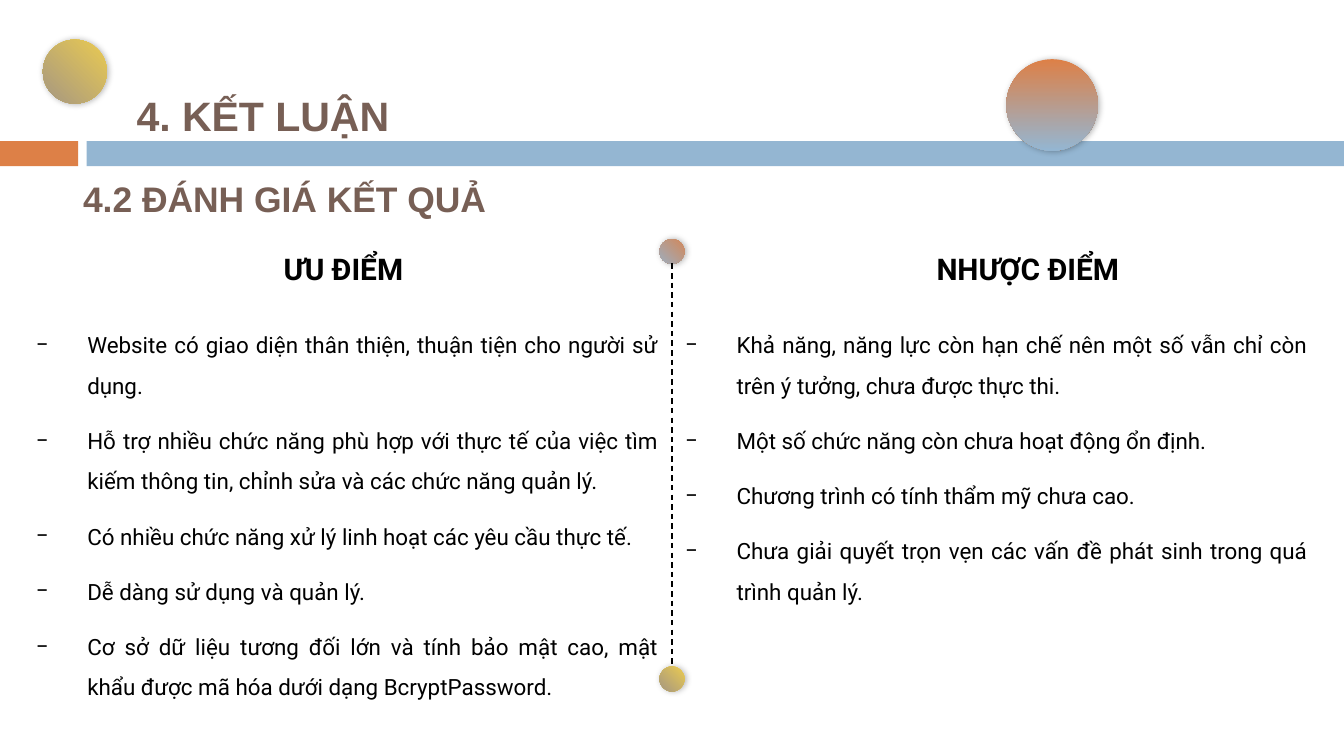
from lxml import etree
from pptx import Presentation
from pptx.dml.color import RGBColor
from pptx.enum.dml import MSO_LINE_DASH_STYLE as Dash
from pptx.enum.shapes import MSO_CONNECTOR as Connector, MSO_SHAPE as Shape
from pptx.enum.text import MSO_ANCHOR as Anchor, MSO_AUTO_SIZE as AutoSize, PP_ALIGN as Align
from pptx.oxml.ns import qn
from pptx.util import Cm, Pt

BLACK = RGBColor(0x00, 0x00, 0x00)
BROWN = RGBColor(0x77, 0x5F, 0x55)
ORANGE = RGBColor(0xDD, 0x80, 0x47)
BLUE = RGBColor(0x94, 0xB6, 0xD2)
YELLOW = RGBColor(0xFA, 0xD6, 0x47)
GRAY = RGBColor(0x96, 0x8C, 0x8C)


class SlideBuilder:
    heading_font = "Arial"
    body_font = "Roboto"
    indent = Cm(0.97)

    def __init__(self, slide):
        self.s = slide

    def add_shadow(self, effects, blur, dist, angle, alpha):
        shadow = etree.SubElement(effects, qn("a:outerShdw"), blurRad=str(Pt(blur)),
                                  dist=str(Pt(dist)), dir=str(angle * 60000),
                                  algn="tl", rotWithShape="0")
        color = etree.SubElement(shadow, qn("a:srgbClr"), val=str(BLACK))
        etree.SubElement(color, qn("a:alpha"), val=str(alpha * 1000))

    def bar(self, x, y, w, h, color):
        sp = self.s.shapes.add_shape(Shape.RECTANGLE, Cm(x), Cm(y), Cm(w), Cm(h))
        sp.shadow.inherit = False
        sp.fill.solid()
        sp.fill.fore_color.rgb = color
        sp.line.fill.background()

    def ball(self, x, y, size, start, end, rotation=45):
        sp = self.s.shapes.add_shape(Shape.OVAL, Cm(x), Cm(y), Cm(size), Cm(size))
        sp.rotation = rotation
        sp.fill.gradient()
        sp.fill.gradient_angle = 270
        for stop, color, position in zip(sp.fill.gradient_stops, (start, end), (0, 1)):
            stop.color.rgb = color
            stop.position = position
        sp.line.fill.background()
        sp.shadow.inherit = False
        effects = sp._element.spPr.find(qn("a:effectLst"))
        self.add_shadow(effects, 3.4, 0.8, 9, 30)

    def dashed_line(self, x, top, bottom):
        line = self.s.shapes.add_connector(Connector.STRAIGHT, Cm(x), Cm(top), Cm(x), Cm(bottom))
        line.line.color.rgb = BLACK
        line.line.width = Pt(0.75)
        line.line.dash_style = Dash.DASH
        etree.SubElement(line._element.spPr, qn("a:effectLst"))

    def text_box(self, x, y, w, h):
        tf = self.s.shapes.add_textbox(Cm(x), Cm(y), Cm(w), Cm(h)).text_frame
        tf.word_wrap = True
        return tf

    def format_run(self, p, name, size, color, bold=False):
        r = p.runs[0]
        r.font.name, r.font.size, r.font.bold = name, Pt(size), bold
        r.font.color.rgb = color
        return r

    def heading(self, x, y, w, h, text, size):
        tf = self.text_box(x, y, w, h)
        tf.vertical_anchor = Anchor.MIDDLE
        tf.margin_top = tf.margin_bottom = Cm(0.25)
        tf.text = text
        p = tf.paragraphs[0]
        p.alignment = Align.CENTER
        r = self.format_run(p, self.heading_font, size, BROWN, True)
        effects = etree.Element(qn("a:effectLst"))
        r.font._element.find(qn("a:solidFill")).addnext(effects)
        self.add_shadow(effects, 4, 3, 45, 40)

    def column_title(self, x, y, w, h, text):
        tf = self.text_box(x, y, w, h)
        tf.auto_size = AutoSize.SHAPE_TO_FIT_TEXT
        tf.text = text
        self.format_run(tf.paragraphs[0], self.body_font, 16, BLACK, True)

    def bullets(self, x, y, w, h, items):
        tf = self.text_box(x, y, w, h)
        tf.auto_size = AutoSize.SHAPE_TO_FIT_TEXT
        tf.text = "\n".join(items)
        for p in tf.paragraphs:
            p.alignment = Align.JUSTIFY
            p.line_spacing = 1.5
            p.space_after = Pt(8)
            pPr = p._p.get_or_add_pPr()
            pPr.set("marL", str(self.indent))
            pPr.set("indent", str(-self.indent))
            color = etree.SubElement(pPr, qn("a:buClr"))
            etree.SubElement(color, qn("a:srgbClr"), val=str(BLACK))
            etree.SubElement(pPr, qn("a:buFont"), typeface=self.body_font)
            etree.SubElement(pPr, qn("a:buChar"), char="−")
            self.format_run(p, self.body_font, 12, BLACK)


def main():
    prs = Presentation()
    prs.slide_width, prs.slide_height = Cm(25.4), Cm(14.29)
    b = SlideBuilder(prs.slides.add_slide(prs.slide_layouts[6]))

    # Header band
    b.bar(0, 2.67, 1.48, 0.47, ORANGE)
    b.bar(1.64, 2.67, 23.76, 0.47, BLUE)
    b.ball(19.02, 1.12, 1.73, ORANGE, BLUE, rotation=0)

    # Headings
    b.heading(-2.24, 2.74, 15.24, 2.01, "4.2 ĐÁNH GIÁ KẾT QUẢ", 19)
    b.heading(-3.07, 1.17, 16.08, 2.01, "4. KẾT LUẬN", 22)

    # Divider between the columns
    middle, dot = 12.7, 0.47
    b.ball(middle - dot / 2, 4.52, dot, ORANGE, BLUE)
    b.ball(middle - dot / 2, 12.6, dot, YELLOW, GRAY)
    for top, bottom in ((4.98, 10.08), (10.08, 12.6)):
        b.dashed_line(middle, top, bottom)
    b.ball(0.81, 0.75, 1.21, YELLOW, GRAY)

    # Strengths and weaknesses
    b.column_title(5.11, 4.62, 3.18, 0.94, "ƯU ĐIỂM")
    b.column_title(17.45, 4.62, 4.45, 0.94, "NHƯỢC ĐIỂM")
    b.bullets(0.43, 5.89, 12.27, 7.47, [
        "Website có giao diện thân thiện, thuận tiện cho người sử dụng.",
        "Hỗ trợ nhiều chức năng phù hợp với thực tế của việc tìm kiếm thông tin, "
        "chỉnh sửa và các chức năng quản lý.",
        "Có nhiều chức năng xử lý linh hoạt các yêu cầu thực tế.",
        "Dễ dàng sử dụng và quản lý.",
        "Cơ sở dữ liệu tương đối lớn và tính bảo mật cao, mật khẩu được mã hóa "
        "dưới dạng BcryptPassword.",
    ])
    b.bullets(middle, 5.89, 12.27, 5.64, [
        "Khả năng, năng lực còn hạn chế nên một số vẫn chỉ còn trên ý tưởng, "
        "chưa được thực thi.",
        "Một số chức năng còn chưa hoạt động ổn định.",
        "Chương trình có tính thẩm mỹ chưa cao.",
        "Chưa giải quyết trọn vẹn các vấn đề phát sinh trong quá trình quản lý.",
    ])

    prs.save("out.pptx")


if __name__ == "__main__":
    main()
